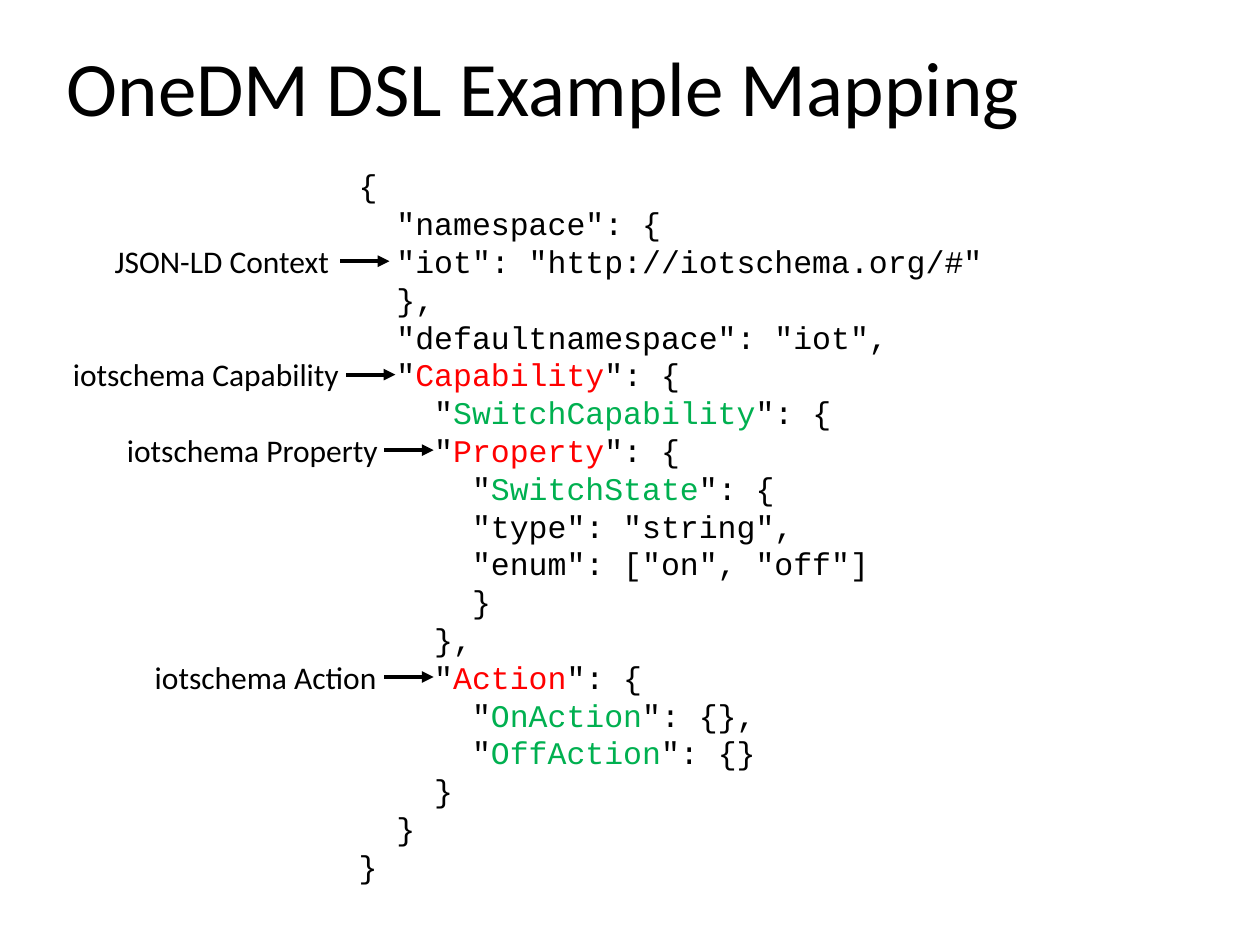
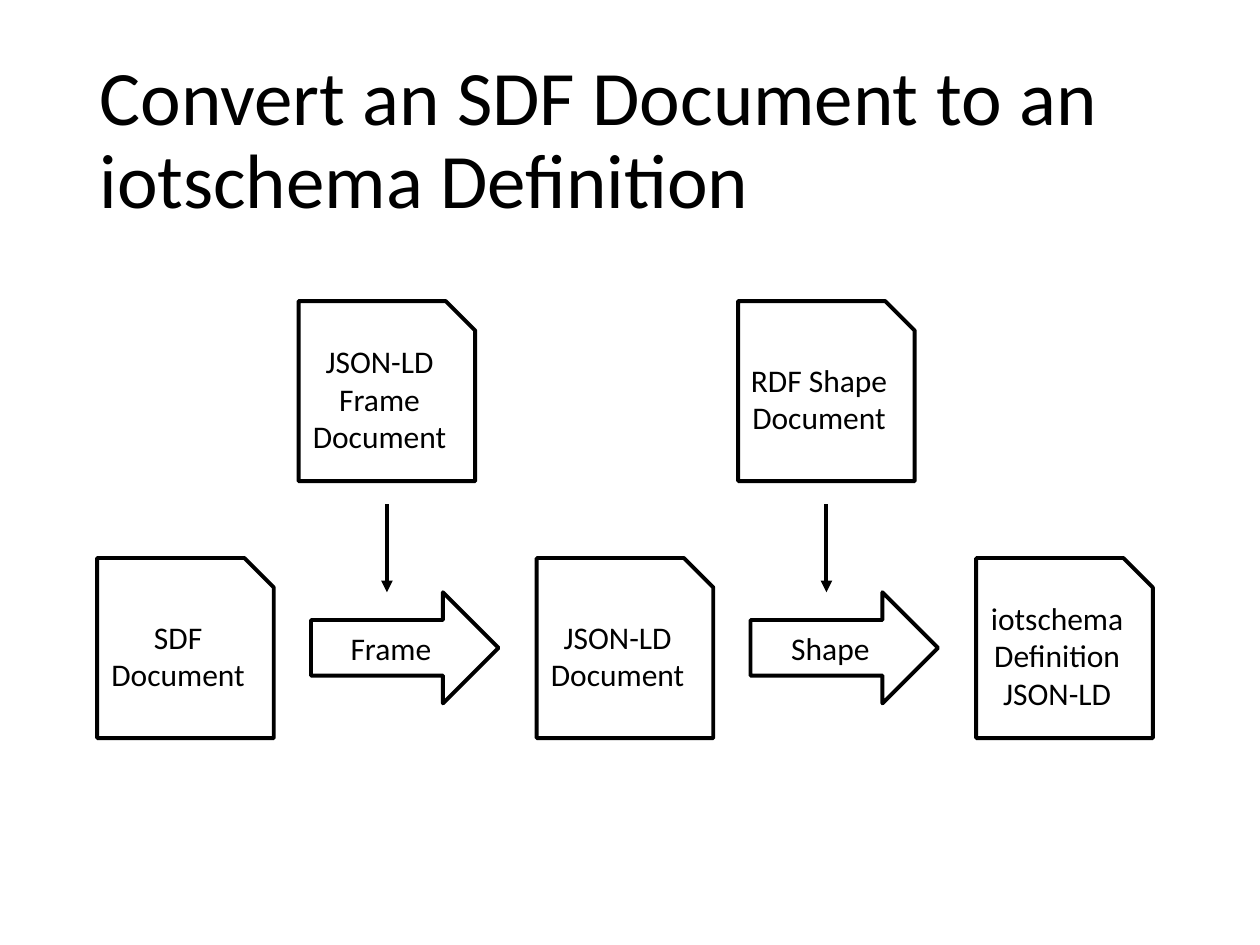
"""Build two slides on mapping OneDM SDF documents to iotschema definitions."""
from dataclasses import dataclass

from lxml import etree
from pptx import Presentation
from pptx import util as u
from pptx.dml.color import RGBColor
from pptx.enum import shapes, text
from pptx.oxml.ns import qn


@dataclass(frozen=True)
class Theme:
    ink: str = "000000"
    keyword: str = "FF0000"
    name: str = "00B050"
    sans: str = "Calibri"
    mono: str = "Courier New"
    title_size: float = 44
    body_size: float = 18
    line_width: float = 2.25


T = Theme()

MAPPING_TITLE = "OneDM DSL Example Mapping"
CODE = [
    (0, '{'),
    (1, '"namespace": {'),
    (1, '"iot": "http://iotschema.org/#"'),
    (1, '},'),
    (1, '"defaultnamespace": "iot",'),
    (1, '"Capability": {'),
    (2, '"SwitchCapability": {'),
    (2, '"Property": {'),
    (3, '"SwitchState": {'),
    (3, '"type": "string",'),
    (3, '"enum": ["on", "off"]'),
    (3, '}'),
    (2, '},'),
    (2, '"Action": {'),
    (3, '"OnAction": {},'),
    (3, '"OffAction": {}'),
    (2, '}'),
    (1, '}'),
    (0, '}'),
]
HIGHLIGHTS = {
    "Capability": T.keyword, "Property": T.keyword, "Action": T.keyword,
    "SwitchCapability": T.name, "SwitchState": T.name,
    "OnAction": T.name, "OffAction": T.name,
}
LABELS = [
    ("JSON-LD Context", 2, 2.06, 5.11, 6.86),
    ("iotschema Capability", 5, 1.22, 5.94, 6.98),
    ("iotschema Property", 7, 2.31, 5.61, 7.75),
    ("iotschema Action", 13, 2.87, 5.03, 7.75),
]

CONVERT_TITLE = "Convert an SDF Document to an iotschema Definition"
DOCUMENTS = ["SDF Document", "JSON-LD Document", "iotschema Definition\nJSON-LD"]
INPUTS = ["JSON-LD Frame Document", "RDF Shape Document"]
STEPS = ["Frame", "Shape"]

CODE_LEFT, CODE_TOP, CODE_WIDTH, CODE_HEIGHT = 6.98, 3.23, 19.76, 14.88
CODE_STEP = u.Pt(T.body_size * 1.2)
INSET = 0.13
LABEL_HEIGHT, LABEL_ARROW = 1.02, 0.99

PITCH = 8.86
DOC_SIZE, STEP_SIZE = (3.56, 3.63), (3.78, 2.24)
DOC_LEFT, DOC_TOP = 1.96, 11.25
INPUT_LEFT, INPUT_TOP = 6.02, 6.07
STEP_LEFT, STEP_TOP = 6.27, 11.94
INPUT_ARROW_TOP = 10.16


def style(r, size=T.body_size, font=T.sans, color=T.ink):
    r.font.size, r.font.name = u.Pt(size), font
    r.font.color.rgb = RGBColor.from_string(color)


def style_frame(tf, **kwargs):
    for p in tf.paragraphs:
        for r in p.runs:
            style(r, **kwargs)


def outline(line):
    line.color.rgb = RGBColor.from_string(T.ink)
    line.width = u.Pt(T.line_width)


def add_slide(prs, title, left, top):
    s = prs.slides.add_slide(prs.slide_layouts[5])
    sp = s.shapes.title
    sp.left, sp.top, sp.width, sp.height = map(u.Cm, (left, top, 21.9, 3.68))
    tf = sp.text_frame
    tf.text = title
    tf.auto_size = text.MSO_AUTO_SIZE.NONE
    tf.vertical_anchor = text.MSO_ANCHOR.MIDDLE
    p = tf.paragraphs[0]
    p.alignment, p.line_spacing = text.PP_ALIGN.LEFT, 0.9
    style_frame(tf, size=T.title_size)
    return s


def add_textbox(s, left, top, width, height):
    tf = s.shapes.add_textbox(*map(u.Cm, (left, top, width, height))).text_frame
    tf.word_wrap = True
    return tf


def add_arrow(s, *ends):
    cx = s.shapes.add_connector(shapes.MSO_CONNECTOR.STRAIGHT, *map(u.Cm, ends))
    outline(cx.line)
    etree.SubElement(cx.line._get_or_add_ln(), qn("a:tailEnd"), type="triangle")
    etree.SubElement(cx._element.spPr, qn("a:effectLst"))


def add_row(s, kind, words, left, top, size):
    for i, word in enumerate(words):
        sp = s.shapes.add_shape(kind, *map(u.Cm, (left + i * PITCH, top, *size)))
        sp.shadow.inherit = False
        sp.fill.background()
        outline(sp.line)
        tf = sp.text_frame
        tf.text = word
        tf.vertical_anchor = text.MSO_ANCHOR.MIDDLE
        for p in tf.paragraphs:
            p.alignment = text.PP_ALIGN.CENTER
        style_frame(tf)


def add_code(s):
    tf = add_textbox(s, CODE_LEFT, CODE_TOP, CODE_WIDTH, CODE_HEIGHT)
    for i, (level, line) in enumerate(CODE):
        p = tf.add_paragraph() if i else tf.paragraphs[0]
        p.line_spacing = CODE_STEP
        p._p.get_or_add_pPr().set("marL", str(level * CODE_STEP))
        key = next((k for k in HIGHLIGHTS if f'"{k}"' in line), None)
        for part in line.partition(key) if key else [line]:
            r = p.add_run()
            r.text = part
            style(r, font=T.mono, color=HIGHLIGHTS.get(part, T.ink))


def add_labels(s):
    for label, row, left, width, arrow_left in LABELS:
        middle = CODE_TOP + INSET + (row + 0.5) * CODE_STEP.cm
        tf = add_textbox(s, left, middle - LABEL_HEIGHT / 2, width, LABEL_HEIGHT)
        tf.text = label
        style_frame(tf)
        add_arrow(s, arrow_left, middle, arrow_left + LABEL_ARROW, middle)


def build_mapping(prs):
    s = add_slide(prs, MAPPING_TITLE, 1.09, 0)
    add_labels(s)
    add_code(s)


def build_conversion(prs):
    s = add_slide(prs, CONVERT_TITLE, 1.75, 1.02)
    kinds = shapes.MSO_SHAPE
    add_row(s, kinds.SNIP_1_RECTANGLE, DOCUMENTS, DOC_LEFT, DOC_TOP, DOC_SIZE)
    add_row(s, kinds.SNIP_1_RECTANGLE, INPUTS, INPUT_LEFT, INPUT_TOP, DOC_SIZE)
    add_row(s, kinds.RIGHT_ARROW, STEPS, STEP_LEFT, STEP_TOP, STEP_SIZE)
    for i in range(len(INPUTS)):
        x = INPUT_LEFT + i * PITCH + DOC_SIZE[0] / 2
        add_arrow(s, x, INPUT_ARROW_TOP, x, STEP_TOP)


prs = Presentation()
prs.slide_width, prs.slide_height = u.Cm(25.4), u.Cm(19.05)
build_mapping(prs)
build_conversion(prs)
prs.save("out.pptx")
